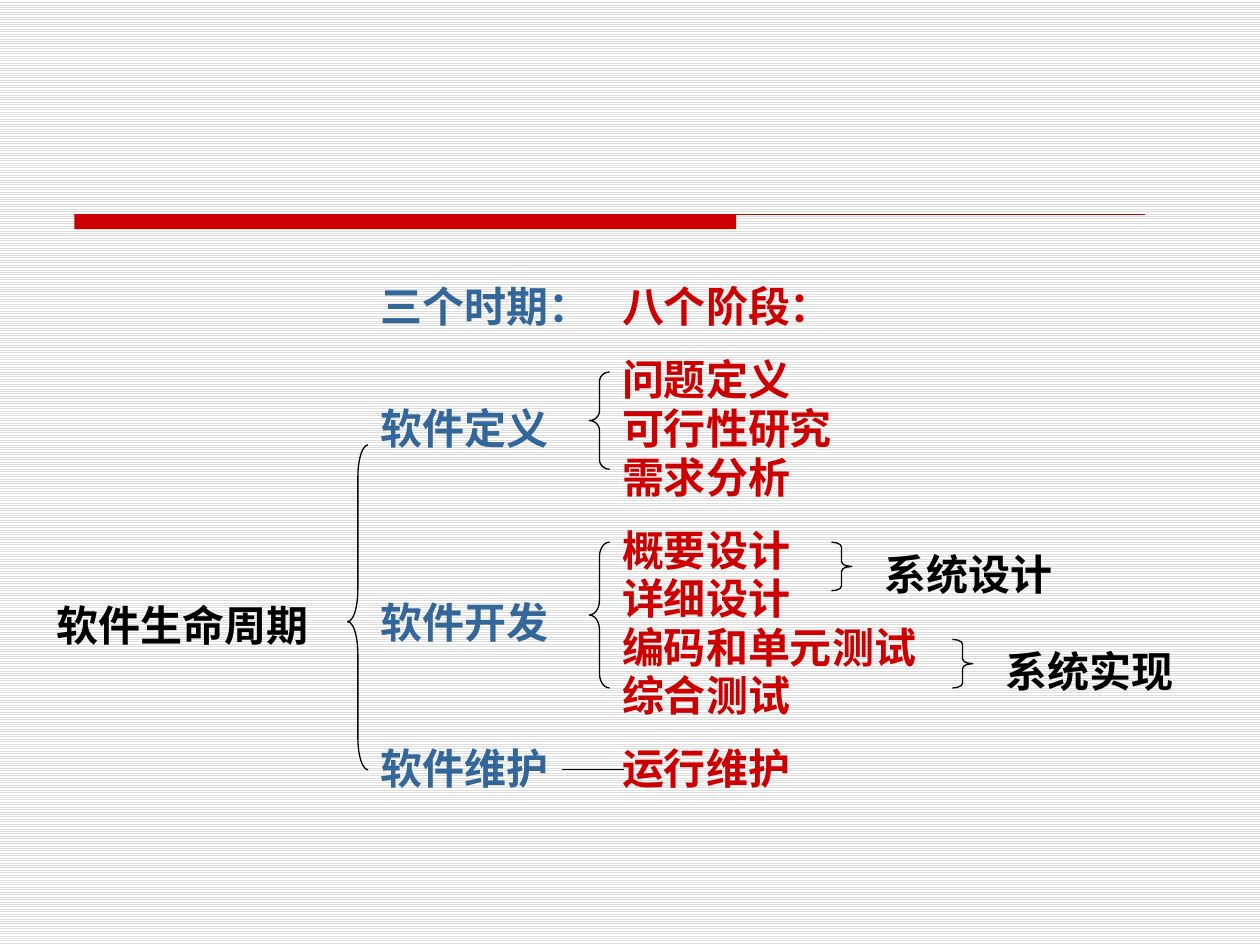
from dataclasses import dataclass

from lxml.etree import SubElement
from pptx import Presentation
from pptx.dml.color import RGBColor
from pptx.enum.dml import MSO_PATTERN
from pptx.enum.shapes import MSO_CONNECTOR, MSO_SHAPE
from pptx.enum.text import PP_ALIGN
from pptx.oxml.ns import qn
from pptx.util import Cm, Pt


@dataclass(frozen=True)
class Theme:
    red: RGBColor = RGBColor(0xCC, 0x00, 0x00)
    blue: RGBColor = RGBColor(0x33, 0x66, 0x99)
    black: RGBColor = RGBColor(0x00, 0x00, 0x00)
    stripe: RGBColor = RGBColor(0xDD, 0xDD, 0xDD)
    paper: RGBColor = RGBColor(0xFF, 0xFF, 0xFF)
    font: str = "Times New Roman"
    text_size: Pt = Pt(24)
    line_width: Pt = Pt(0.75)


@dataclass(frozen=True)
class Box:
    left: float
    top: float
    width: float
    height: float

    def inner(self, left, top, width, height):
        return Box(self.left + left, self.top + top, width, height)

    def lengths(self):
        return Cm(self.left), Cm(self.top), Cm(self.width), Cm(self.height)


THEME = Theme()
PITCH = 0.98
GROUP_STEP = 1.5 * PITCH
LABEL_HEIGHT = 1.47
BRACE_WIDTH = 0.41
BRACE_RADIUS = 0.24

PERIOD_LEFT, STAGE_LEFT = 6.53, 11.4
PERIODS = [
    ("软件定义", 4.47, [("问题定义", 4.47), ("可行性研究", 5.59), ("需求分析", 4.47)]),
    ("软件开发", 4.88, [("概要设计", 4.47), ("详细设计", 4.88),
                    ("编码和单元测试", 6.91), ("综合测试", 4.88)]),
    ("软件维护", 4.47, [("运行维护", 4.88)]),
]
SUMMARIES = {"概要设计": ("系统设计", 15.87), "编码和单元测试": ("系统实现", 18.31)}


def add_label(page, box, text, color):
    frame = page.shapes.add_textbox(*box.lengths()).text_frame
    frame.word_wrap = True
    para = frame.paragraphs[0]
    para.alignment = PP_ALIGN.JUSTIFY
    span = para.add_run()
    span.text = text
    span.font.name = THEME.font
    span.font.size = THEME.text_size
    span.font.bold = True
    span.font.color.rgb = color


def add_brace(page, box, kind, middle=0.5):
    brace = page.shapes.add_shape(kind, *box.lengths())
    brace.shadow.inherit = False
    brace.fill.background()
    brace.line.color.rgb = THEME.black
    brace.line.width = THEME.line_width
    brace.adjustments[0] = BRACE_RADIUS * box.height / box.width / 2.4
    brace.adjustments[1] = middle


def add_rule(page, box, color):
    left, top, width, height = box.lengths()
    rule = page.shapes.add_connector(
        MSO_CONNECTOR.STRAIGHT, left, top, left + width, top + height)
    rule.line.color.rgb = color
    rule.line.width = THEME.line_width
    SubElement(rule._element.spPr, qn("a:effectLst"))


def add_title_band(page, box):
    bar_box = box.inner(0, 0, 13.34, box.height)
    bar = page.shapes.add_shape(MSO_SHAPE.RECTANGLE, *bar_box.lengths())
    bar.shadow.inherit = False
    bar.fill.solid()
    bar.fill.fore_color.rgb = THEME.red
    bar.line.fill.background()
    add_rule(page, box.inner(0, 0, box.width, 0), THEME.red)


def add_summary(page, box, text):
    add_brace(page, box.inner(0, 0, BRACE_WIDTH, PITCH), MSO_SHAPE.RIGHT_BRACE)
    add_label(page, box.inner(2 * BRACE_WIDTH, 0, 4.47, LABEL_HEIGHT), text, THEME.black)


def add_period(page, box, name, name_width, stages):
    span_height = (len(stages) - 1) * PITCH
    add_label(page, box.inner(PERIOD_LEFT, span_height / 2, name_width, LABEL_HEIGHT),
              name, THEME.blue)
    for row, (stage, width) in enumerate(stages):
        top = row * PITCH
        add_label(page, box.inner(STAGE_LEFT, top, width, LABEL_HEIGHT), stage, THEME.red)
        if stage in SUMMARIES:
            summary, left = SUMMARIES[stage]
            add_summary(page, box.inner(left, top + PITCH / 2, 5.29, LABEL_HEIGHT), summary)
    if span_height:
        add_brace(page, box.inner(STAGE_LEFT - BRACE_WIDTH, PITCH / 2, BRACE_WIDTH, span_height),
                  MSO_SHAPE.LEFT_BRACE)
    else:
        add_rule(page, box.inner(10.44, 0.66, 1.24, 0), THEME.black)


def add_life_cycle(page, box):
    add_label(page, box.inner(PERIOD_LEFT, 0, 4.88, LABEL_HEIGHT), "三个时期：", THEME.blue)
    add_label(page, box.inner(STAGE_LEFT, 0, 4.88, LABEL_HEIGHT), "八个阶段：", THEME.red)
    add_label(page, box.inner(0, 6.42, 6.1, LABEL_HEIGHT), "软件生命周期", THEME.black)
    add_brace(page, box.inner(PERIOD_LEFT - BRACE_WIDTH, 3.43, BRACE_WIDTH, 6.55),
              MSO_SHAPE.LEFT_BRACE, 0.544)
    top = GROUP_STEP
    for name, width, stages in PERIODS:
        height = (len(stages) - 1) * PITCH
        add_period(page, box.inner(0, top, box.width, height), name, width, stages)
        top += height + GROUP_STEP


def main():
    deck = Presentation()
    deck.slide_width, deck.slide_height = Cm(25.4), Cm(19.05)
    page = deck.slides.add_slide(deck.slide_layouts[6])
    backdrop = page.background.fill
    backdrop.patterned()
    backdrop.pattern = MSO_PATTERN.LIGHT_HORIZONTAL
    backdrop.fore_color.rgb = THEME.stripe
    backdrop.back_color.rgb = THEME.paper
    add_title_band(page, Box(1.5, 4.32, 21.59, 0.3))
    add_life_cycle(page, Box(0.89, 5.54, 23.6, 10.8))
    deck.save("out.pptx")


if __name__ == "__main__":
    main()
